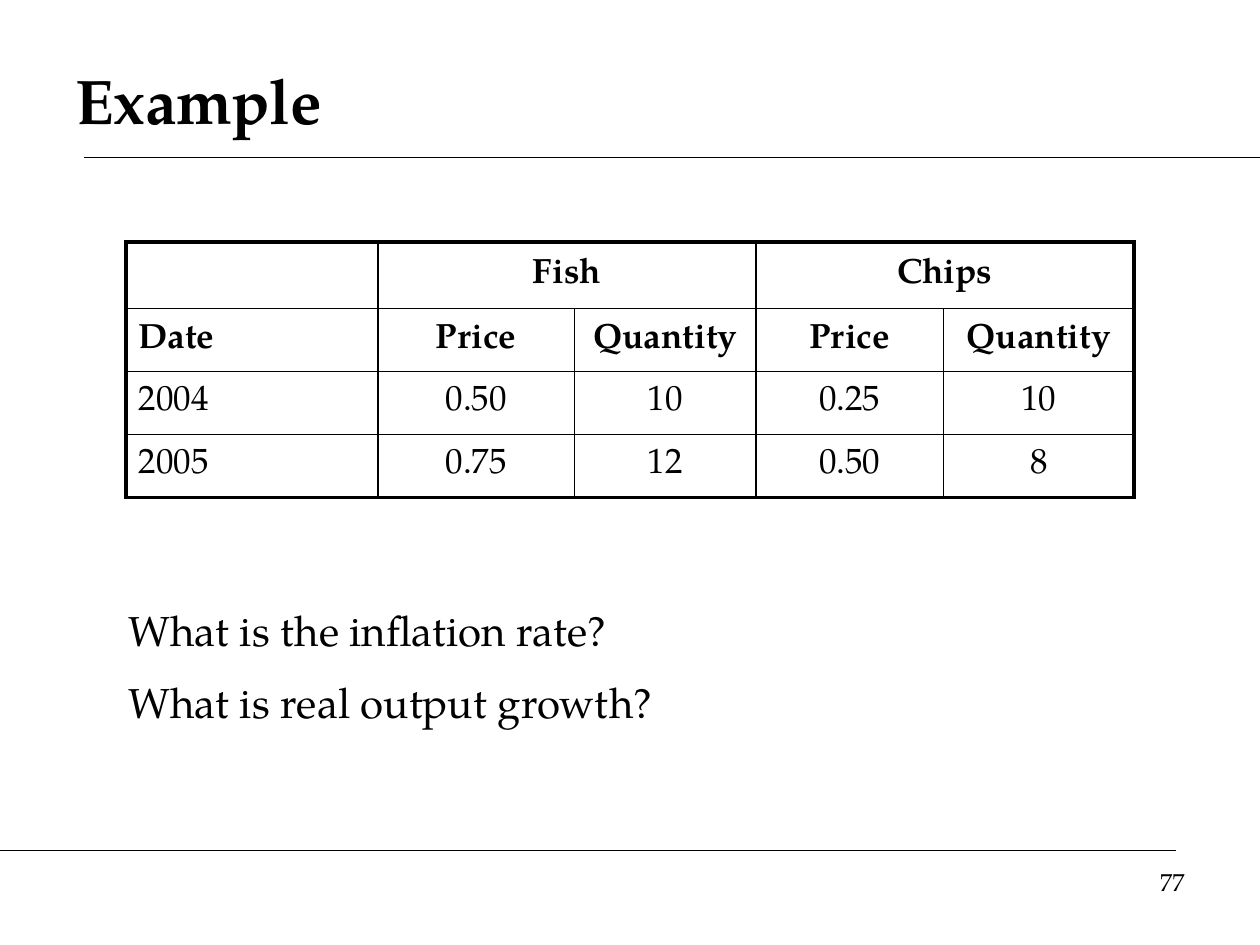
"""Build a slide with a price and quantity table and two questions."""
from dataclasses import dataclass

from lxml import etree
from pptx import Presentation
from pptx import util as u
from pptx.dml import color
from pptx.enum import shapes, text
from pptx.oxml import ns

FONT = "TeX Gyre Pagella"
BLACK = "000000"
THIN, THICK = 1, 2.25


@dataclass
class Label:
    left: float
    top: float
    width: float
    height: float
    lines: list[str]
    size: float
    bold: bool = False
    align: text.PP_ALIGN = text.PP_ALIGN.LEFT
    anchor: text.MSO_ANCHOR = text.MSO_ANCHOR.TOP
    gap: float = 0


@dataclass
class Rule:
    start: float
    end: float
    y: float


RULES = [Rule(0.67, 10, 1.25), Rule(0, 9.33, 6.75)]
LABELS = [
    Label(0.5, 0.33, 9, 0.92, ["Example"], 36, bold=True, anchor=text.MSO_ANCHOR.MIDDLE),
    Label(0.92, 4.75, 7.25, 1.1,
          ["What is the inflation rate?", "What is real output growth?"], 24, gap=12),
    Label(7.17, 6.83, 2.33, 0.52, ["77"], 14, align=text.PP_ALIGN.RIGHT),
]
COLUMN_WIDTHS = [2, 1.56, 1.44, 1.49, 1.51]
ROW_HEIGHTS = [0.53, 0.5, 0.5, 0.5]
PRICES = [
    ["", "Fish", "", "Chips", ""],
    ["Date", "Price", "Quantity", "Price", "Quantity"],
    ["2004", "0.50", "10", "0.25", "10"],
    ["2005", "0.75", "12", "0.50", "8"],
]
HEADER_ROWS = 2


def rgb(value: str) -> color.RGBColor:
    return color.RGBColor.from_string(value)


def add_span(para, content: str, size: float, bold: bool) -> None:
    span = para.add_run()
    span.text = content
    span.font.name = FONT
    span.font.size = u.Pt(size)
    span.font.bold = bold
    span.font.color.rgb = rgb(BLACK)


def add_label(page, label: Label) -> None:
    box = page.shapes.add_textbox(u.Inches(label.left), u.Inches(label.top),
                                  u.Inches(label.width), u.Inches(label.height))
    frame = box.text_frame
    frame.word_wrap = True
    frame.vertical_anchor = label.anchor
    for index, line in enumerate(label.lines):
        para = frame.add_paragraph() if index else frame.paragraphs[0]
        para.alignment = label.align
        para.space_before = u.Pt(label.gap if index else 0)
        add_span(para, line, label.size, label.bold)


def add_rule(page, rule: Rule) -> None:
    line = page.shapes.add_connector(shapes.MSO_CONNECTOR.STRAIGHT,
                                     u.Inches(rule.start), u.Inches(rule.y),
                                     u.Inches(rule.end), u.Inches(rule.y))
    line.line.color.rgb = rgb(BLACK)
    line.line.width = u.Pt(0.75)
    etree.SubElement(line._element.spPr, ns.qn("a:effectLst"))


def set_borders(cell, widths: dict[str, float]) -> None:
    properties = cell._tc.get_or_add_tcPr()
    for side, width in widths.items():
        border = etree.SubElement(properties, ns.qn(f"a:ln{side}"), w=str(u.Pt(width)))
        fill = etree.SubElement(border, ns.qn("a:solidFill"))
        etree.SubElement(fill, ns.qn("a:srgbClr"), val=BLACK)


def add_price_table(page) -> None:
    rows, columns = len(ROW_HEIGHTS), len(COLUMN_WIDTHS)
    table = page.shapes.add_table(rows, columns, u.Inches(1), u.Inches(1.92),
                                  u.Inches(sum(COLUMN_WIDTHS)),
                                  u.Inches(sum(ROW_HEIGHTS))).table
    table.first_row = table.horz_banding = False
    for column, width in zip(table.columns, COLUMN_WIDTHS):
        column.width = u.Inches(width)
    for row, height in zip(table.rows, ROW_HEIGHTS):
        row.height = u.Inches(height)
    for first in (1, 3):
        table.cell(0, first).merge(table.cell(0, first + 1))
    for row, values in enumerate(PRICES):
        for column, value in enumerate(values):
            cell = table.cell(row, column)
            last = column + (cell.span_width if cell.is_merge_origin else 1)
            set_borders(cell, {
                "L": THIN if column else THICK,
                "R": THICK if last == columns else THIN,
                "T": THIN if row else THICK,
                "B": THICK if row == rows - 1 else THIN,
            })
            cell.fill.background()
            cell.vertical_anchor = text.MSO_ANCHOR.MIDDLE
            if value:
                para = cell.text_frame.paragraphs[0]
                para.alignment = text.PP_ALIGN.CENTER if column else text.PP_ALIGN.LEFT
                add_span(para, value, 20, row < HEADER_ROWS)


def main() -> None:
    deck = Presentation()
    deck.slide_width, deck.slide_height = u.Inches(10), u.Inches(7.5)
    page = deck.slides.add_slide(deck.slide_layouts[6])
    for rule in RULES:
        add_rule(page, rule)
    add_price_table(page)
    for label in LABELS:
        add_label(page, label)
    deck.save("out.pptx")


if __name__ == "__main__":
    main()
